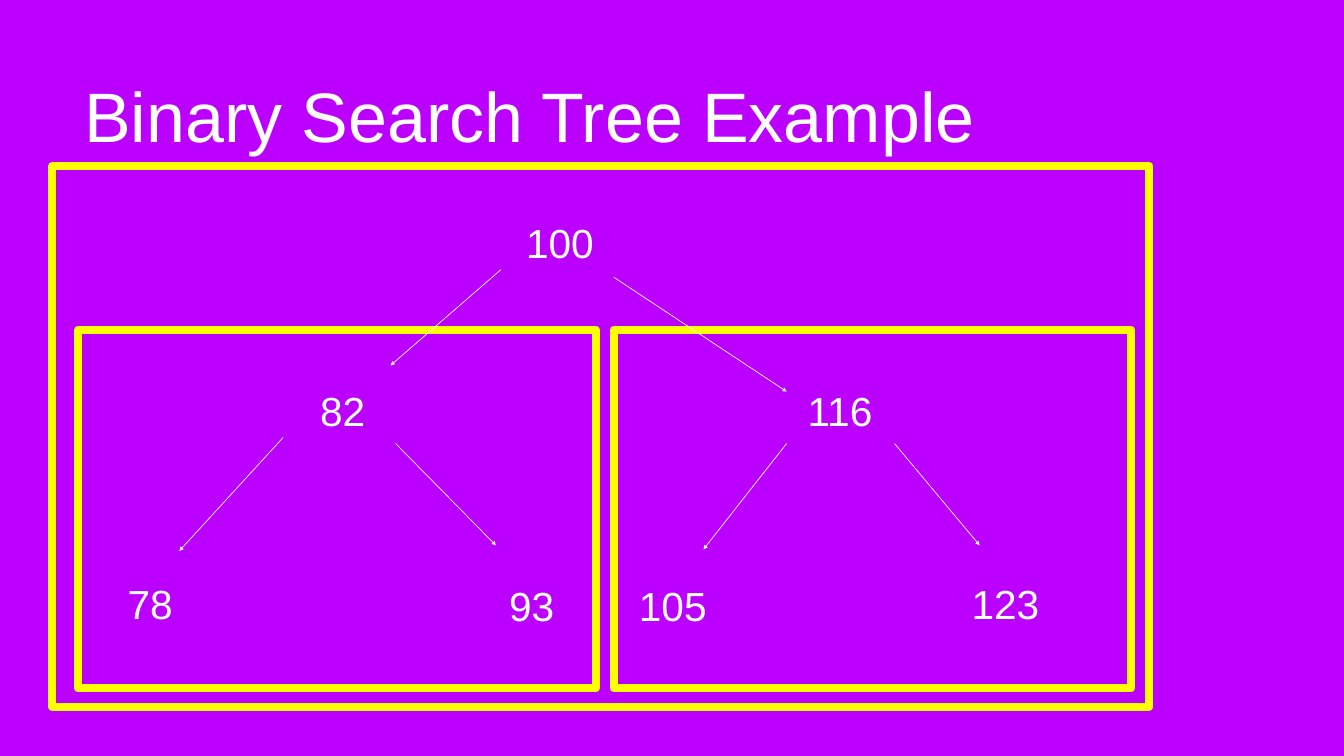
from lxml import etree
from pptx import Presentation
from pptx.dml.color import RGBColor
from pptx.enum import shapes, text
from pptx.oxml import ns
from pptx.util import Inches, Pt

THEME = {
    "back": RGBColor.from_string("BC00FF"),
    "ink": RGBColor.from_string("FFFFFF"),
    "frame": RGBColor.from_string("FFFF00"),
    "font": "Arial",
    "title": Pt(100),
    "node": Pt(58),
    "edge": Pt(1),
    "border": Pt(11.5),
}
SIZE = (26.67, 15)
TITLE = ("Binary Search Tree Example", (1.61, 0.39, 23.44, 3.75))

# Whole tree, then left and right subtrees
SUB = (10.27, 7.12)
FRAMES = [(1.04, 3.29, 21.77, 10.73), (1.55, 6.54, *SUB), (12.18, 6.54, *SUB)]

NODE = (1.54, 1.09)
NODES = {
    "100": (10.34, 4.26),
    "82": (6.03, 7.6), "116": (15.9, 7.59),
    "78": (2.21, 11.42), "93": (9.78, 11.47),
    "105": (12.58, 11.47), "123": (19.18, 11.42),
}
EDGES = [  # start, end
    ((9.94, 5.35), (7.75, 7.25)), ((12.18, 5.5), (15.61, 7.77)),
    ((5.62, 8.68), (3.56, 10.93)), ((7.85, 8.8), (9.84, 10.82)),
    ((15.61, 8.8), (13.96, 10.9)), ((17.75, 8.8), (19.44, 10.82)),
]


def inches(vals):
    return [Inches(v) for v in vals]


def write(shape, words, size, align):
    frame = shape.text_frame
    pad = Inches(0.06)
    form = {
        "word_wrap": True, "auto_size": text.MSO_AUTO_SIZE.NONE,
        "vertical_anchor": text.MSO_ANCHOR.MIDDLE,
        "margin_left": pad, "margin_right": pad,
        "margin_top": pad, "margin_bottom": pad,
    }
    for key, val in form.items():
        setattr(frame, key, val)
    para = frame.paragraphs[0]
    para.alignment = align
    run = para.add_run()
    run.text = words
    run.font.name = THEME["font"]
    run.font.size = size
    run.font.color.rgb = THEME["ink"]


def add_frame(slide, box):
    rect = slide.shapes.add_shape(shapes.MSO_SHAPE.RECTANGLE, *inches(box))
    rect.shadow.inherit = False
    rect.fill.background()
    rect.line.color.rgb = THEME["frame"]
    rect.line.width = THEME["border"]


def add_edge(slide, start, end):
    edge = slide.shapes.add_connector(
        shapes.MSO_CONNECTOR.STRAIGHT, *inches(start + end))
    edge.line.color.rgb = THEME["ink"]
    edge.line.width = THEME["edge"]
    etree.SubElement(edge.line._get_or_add_ln(), ns.qn("a:tailEnd"),
                     type="triangle")
    etree.SubElement(edge._element.spPr, ns.qn("a:effectLst"))


def main():
    deck = Presentation()
    deck.slide_width, deck.slide_height = inches(SIZE)
    slide = deck.slides.add_slide(deck.slide_layouts[5])
    fill = slide.background.fill
    fill.solid()
    fill.fore_color.rgb = THEME["back"]

    words, box = TITLE
    title = slide.shapes.title
    title.left, title.top, title.width, title.height = inches(box)
    write(title, words, THEME["title"], text.PP_ALIGN.LEFT)

    for box in FRAMES:
        add_frame(slide, box)
    for key, spot in NODES.items():
        node = slide.shapes.add_textbox(*inches(spot + NODE))
        write(node, key, THEME["node"], text.PP_ALIGN.CENTER)
        node.text_frame.auto_size = text.MSO_AUTO_SIZE.SHAPE_TO_FIT_TEXT
    for start, end in EDGES:
        add_edge(slide, start, end)
    deck.save("out.pptx")


if __name__ == "__main__":
    main()
